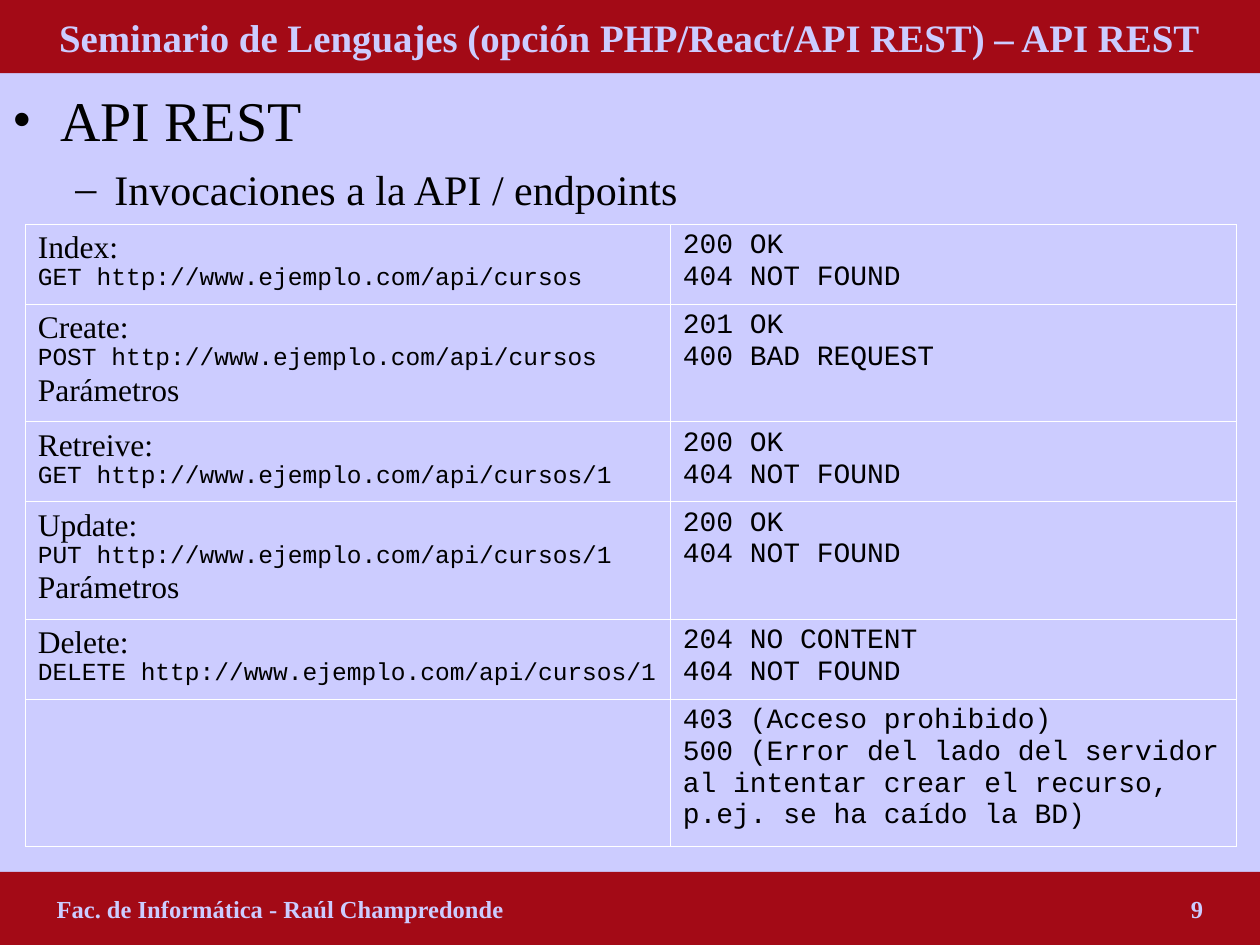
"""Builds the slide that lists the API REST endpoints and their status codes."""
from dataclasses import dataclass

from lxml.etree import SubElement
from pptx import Presentation
from pptx.dml.color import RGBColor
from pptx.enum.shapes import MSO_SHAPE
from pptx.enum.text import MSO_ANCHOR, MSO_AUTO_SIZE, PP_ALIGN
from pptx.oxml.ns import qn
from pptx.util import Inches, Pt


@dataclass(frozen=True)
class Theme:
    """Colours, fonts and type sizes of the slide."""
    background: str = "CCCCFF"
    band: str = "A30A16"
    ink: str = "000000"
    border: str = "FFFFFF"
    serif: str = "Times New Roman"
    mono: str = "Courier New"
    title: float = 22.2
    topic: float = 32
    subtopic: float = 24
    label: float = 18
    status: float = 16
    small: float = 14
    border_width: float = 0.45


class SlideBuilder:
    """Adds styled elements to one slide."""

    def __init__(self, slide, theme):
        """Keep the slide and theme, and paint the background."""
        self.slide = slide
        self.theme = theme
        self.fill(slide.background, theme.background)

    def fill(self, target, colour):
        """Give the target a solid fill."""
        target.fill.solid()
        target.fill.fore_color.rgb = RGBColor.from_string(colour)

    def style(self, paragraph, size, font, colour, bold=False):
        """Format every run of a paragraph."""
        for run in paragraph.runs:
            run.font.size = Pt(size)
            run.font.name = font
            run.font.bold = bold
            run.font.color.rgb = RGBColor.from_string(colour)

    def place(self, shape, left, top, width, height):
        """Move and size a shape, in inches."""
        shape.left, shape.top = Inches(left), Inches(top)
        shape.width, shape.height = Inches(width), Inches(height)

    def title(self, text, height):
        """Turn the title placeholder into the top band."""
        shape = self.slide.shapes.title
        self.place(shape, 0, 0, 10, height)
        self.fill(shape, self.theme.band)
        frame = shape.text_frame
        frame.text = text
        frame.auto_size = MSO_AUTO_SIZE.NONE
        frame.vertical_anchor = MSO_ANCHOR.MIDDLE
        frame.paragraphs[0].alignment = PP_ALIGN.CENTER
        self.style(frame.paragraphs[0], self.theme.title, self.theme.serif,
                   self.theme.background, bold=True)

    def footer(self, author, number, top, height):
        """Add the bottom band with author and page number."""
        shape = self.slide.shapes.add_shape(
            MSO_SHAPE.RECTANGLE, 0, Inches(top), Inches(10), Inches(height))
        shape.shadow.inherit = False
        self.fill(shape, self.theme.band)
        shape.line.fill.background()
        frame = shape.text_frame
        frame.margin_left = Inches(0.45)
        frame.vertical_anchor = MSO_ANCHOR.MIDDLE
        paragraph = frame.paragraphs[0]
        paragraph.text = f"{author}\t{number}"
        paragraph.alignment = PP_ALIGN.LEFT
        tabs = SubElement(paragraph._p.get_or_add_pPr(), qn("a:tabLst"))
        SubElement(tabs, qn("a:tab"), pos=str(Inches(9.1)), algn="r")
        self.style(paragraph, self.theme.small, self.theme.serif,
                   self.theme.background, bold=True)

    def bullet(self, paragraph, character, margin, hanging):
        """Give a paragraph a bullet with a hanging indent."""
        properties = paragraph._p.get_or_add_pPr()
        properties.set("marL", str(Inches(margin)))
        properties.set("indent", str(-Inches(hanging)))
        colour = SubElement(properties, qn("a:buClr"))
        SubElement(colour, qn("a:srgbClr"), val=self.theme.ink)
        SubElement(properties, qn("a:buFont"), typeface=self.theme.serif)
        SubElement(properties, qn("a:buChar"), char=character)

    def outline(self, topic, subtopic, top, height):
        """Add the topic and its subtopic as bullets."""
        shape = self.slide.shapes.add_textbox(
            0, Inches(top), Inches(10), Inches(height))
        frame = shape.text_frame
        frame.word_wrap = True
        frame.margin_top = Inches(0.1)
        first, second = frame.paragraphs[0], frame.add_paragraph()
        first.text, second.text = topic, subtopic
        second.level = 1
        self.bullet(first, "•", 0.38, 0.38)
        self.bullet(second, "–", 0.81, 0.31)
        second.space_before = Pt(6)
        self.style(first, self.theme.topic, self.theme.serif, self.theme.ink)
        self.style(second, self.theme.subtopic, self.theme.serif, self.theme.ink)

    def cell(self, cell, lines):
        """Fill a table cell with (text, size, font) lines and border it."""
        properties = cell._tc.get_or_add_tcPr()
        for side in ("lnL", "lnR", "lnT", "lnB"):
            line = SubElement(properties, qn(f"a:{side}"),
                              w=str(Pt(self.theme.border_width)))
            solid = SubElement(line, qn("a:solidFill"))
            SubElement(solid, qn("a:srgbClr"), val=self.theme.border)
        cell.fill.background()
        cell.text = "\n".join(text for text, _, _ in lines)
        for paragraph, (_, size, font) in zip(cell.text_frame.paragraphs, lines):
            self.style(paragraph, size, font, self.theme.ink)

    def endpoints(self, rows, left, top, widths, heights):
        """Add the table of requests and status codes."""
        table = self.slide.shapes.add_table(
            len(rows), len(widths), Inches(left), Inches(top),
            Inches(sum(widths)), Inches(sum(heights))).table
        table.first_row = table.horz_banding = False
        for column, width in zip(table.columns, widths):
            column.width = Inches(width)
        label = (self.theme.label, self.theme.serif)
        request = (self.theme.small, self.theme.mono)
        status = (self.theme.status, self.theme.mono)
        for index, (height, (call, codes)) in enumerate(zip(heights, rows)):
            table.rows[index].height = Inches(height)
            formats = (label, request, label)
            self.cell(table.cell(index, 0),
                      [(text, *form) for text, form in zip(call, formats)])
            self.cell(table.cell(index, 1), [(text, *status) for text in codes])


def main():
    """Build and save the presentation."""
    presentation = Presentation()
    presentation.slide_width, presentation.slide_height = Inches(10), Inches(7.5)
    slide = presentation.slides.add_slide(presentation.slide_layouts[5])
    builder = SlideBuilder(slide, Theme())
    band = 0.58
    address = "http://www.ejemplo.com/api/cursos"
    found = ("200 OK", "404 NOT FOUND")
    rows = [
        (("Index:", f"GET {address}"), found),
        (("Create:", f"POST {address}", "Parámetros"),
         ("201 OK", "400 BAD REQUEST")),
        (("Retreive:", f"GET {address}/1"), found),
        (("Update:", f"PUT {address}/1", "Parámetros"), found),
        (("Delete:", f"DELETE {address}/1"),
         ("204 NO CONTENT", "404 NOT FOUND")),
        ((), ("403 (Acceso prohibido)",
              "500 (Error del lado del servidor al intentar crear el recurso, "
              "p.ej. se ha caído la BD)")),
    ]
    builder.outline("API REST", "Invocaciones a la API / endpoints", band, 6.33)
    builder.title("Seminario de Lenguajes (opción PHP/React/API REST) – API REST",
                  band)
    builder.footer("Fac. de Informática - Raúl Champredonde", 9, 7.5 - band, band)
    builder.endpoints(rows, 0.2, 1.78, (5.12, 4.49),
                      (0.63, 0.93, 0.63, 0.93, 0.63, 1.17))
    presentation.save("out.pptx")


if __name__ == "__main__":
    main()
